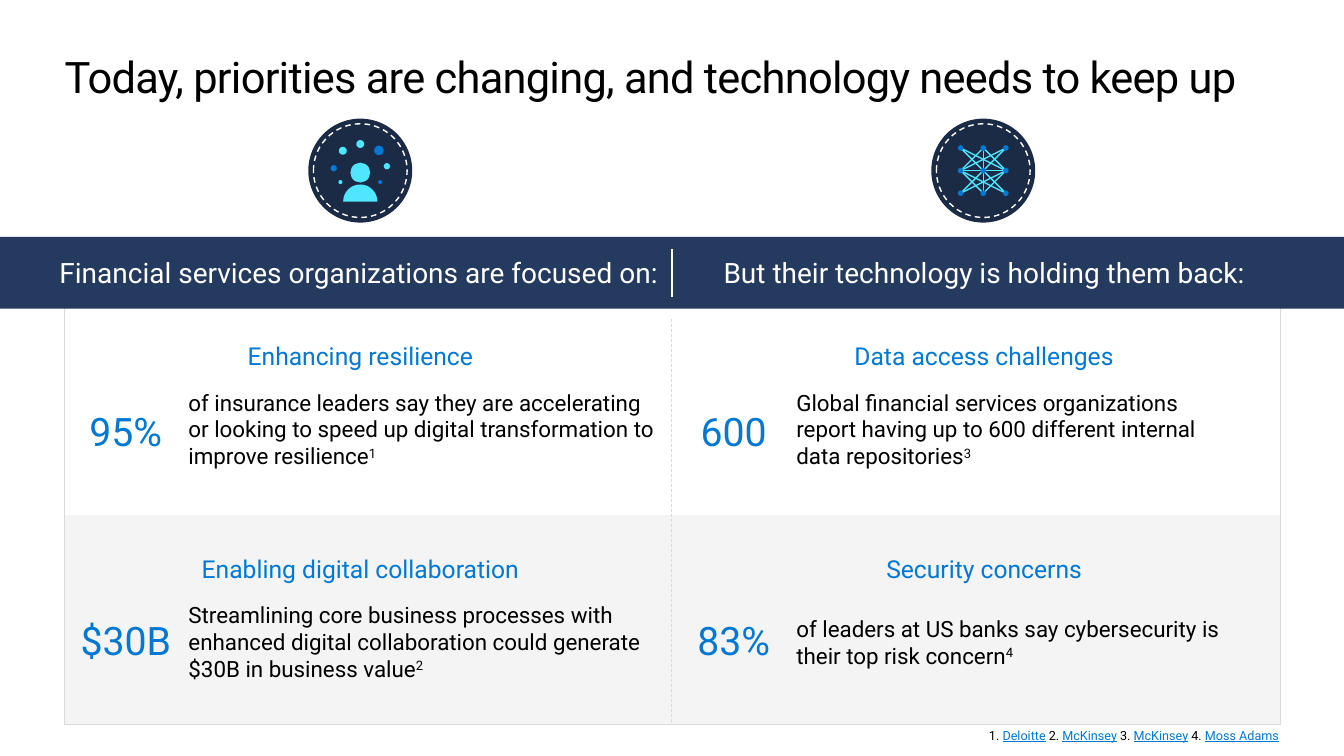
from itertools import product
from math import cos, pi, sin

from lxml.etree import SubElement
from pptx import Presentation
from pptx.dml.color import RGBColor
from pptx.enum.dml import MSO_LINE
from pptx.enum.shapes import MSO_CONNECTOR, MSO_SHAPE
from pptx.enum.text import MSO_ANCHOR, PP_ALIGN
from pptx.oxml.ns import qn
from pptx.util import Cm, Pt

BLACK, WHITE, BLUE, CYAN = "000000", "FFFFFF", "0078D4", "50E6FF"
NAVY, NIGHT, PALE, RULE = "243A5E", "1B2B46", "F2F2F2", "D9D9D9"
WIDTH, HEIGHT, MIDDLE = 33.87, 19.05, 16.93
MARGIN, INNER = 1.63, 30.63
COLUMN_LEFTS, COLUMN_WIDTH = (1.63, 17.35), 14.91
NUMBER_LEFTS, BODY_LEFTS = (2.18, 17.5), (4.75, 20.07)
NUMBER_TOPS, HEADING_TOPS = (9.86, 15.14), (8.51, 13.87)
BADGES = ((9.08, 4.3), (24.78, 4.3))

FACTS = (
    (("Enhancing resilience", "95%",
      "of insurance leaders say they are accelerating or looking to speed up "
      "digital transformation to improve resilience", "1"),
     ("Data access challenges", "600",
      "Global financial services organizations\nreport having up to 600 "
      "different internal\ndata repositories", "3")),
    (("Enabling digital collaboration", "$30B",
      "Streamlining core business processes with enhanced digital "
      "collaboration could generate $30B in business value", "2"),
     ("Security concerns", "83%",
      "of leaders at US banks say cybersecurity is their top risk concern",
      "4")),
)
SOURCES = ("Deloitte", "McKinsey", "McKinsey", "Moss Adams")
DOTS = (
    (0.47, -0.51, 0.12, BLUE), (-0.67, -0.06, 0.08, BLUE),
    (-0.44, -0.5, 0.1, CYAN), (0, -0.67, 0.1, CYAN),
    (0.67, -0.11, 0.08, CYAN), (-0.5, 0.29, 0.05, CYAN),
    (0.5, 0.29, 0.05, BLUE), (0, 0.05, 0.25, CYAN),
)


def color(value):
    """Turn a hex string into a colour."""
    return RGBColor.from_string(value)


class Painter:
    """Draw styled elements on the current slide."""

    font = "Roboto"

    def __init__(self, page):
        self.page = page
        self.shapes = page.shapes

    def paint(self, shape, fill=None, line=None, weight=0.5, dash=None):
        """Set the fill and outline of a shape."""
        shape.shadow.inherit = False
        if fill:
            shape.fill.solid()
            shape.fill.fore_color.rgb = color(fill)
        else:
            shape.fill.background()
        if line:
            shape.line.color.rgb = color(line)
            shape.line.width = Pt(weight)
            shape.line.dash_style = dash
        else:
            shape.line.fill.background()
        return shape

    def shape(self, kind, left, top, width, height, **style):
        """Add a preset shape."""
        shape = self.shapes.add_shape(kind, Cm(left), Cm(top), Cm(width), Cm(height))
        return self.paint(shape, **style)

    def disc(self, x, y, radius, **style):
        """Add a circle around a centre."""
        return self.shape(MSO_SHAPE.OVAL, x - radius, y - radius,
                          2 * radius, 2 * radius, **style)

    def outline(self, strokes, close, **style):
        """Add one freeform made of several strokes."""
        builder = None
        for points in strokes:
            start, *rest = [(Cm(x), Cm(y)) for x, y in points]
            if builder is None:
                builder = self.shapes.build_freeform(*start, scale=1.0)
            else:
                builder.move_to(*start)
            builder.add_line_segments(rest, close=close)
        return self.paint(builder.convert_to_shape(), **style)

    def divider(self, top, bottom, line, weight, dash=None):
        """Add a vertical line in the middle of the slide."""
        rule = self.shapes.add_connector(
            MSO_CONNECTOR.STRAIGHT, Cm(MIDDLE), Cm(top), Cm(MIDDLE), Cm(bottom))
        rule.line.color.rgb = color(line)
        rule.line.width = Pt(weight)
        rule.line.dash_style = dash
        SubElement(rule._element.spPr, qn("a:effectLst"))

    def letter(self, box, words, size, ink, align, anchor=MSO_ANCHOR.MIDDLE, wrap=True):
        """Put one styled paragraph into a box."""
        frame = box.text_frame
        frame.word_wrap = wrap
        frame.vertical_anchor = anchor
        frame.margin_left = frame.margin_right = 0
        frame.margin_top = frame.margin_bottom = 0
        para = frame.paragraphs[0]
        para.text = words
        para.alignment = align
        para.font.name = self.font
        para.font.size = Pt(size)
        para.font.color.rgb = color(ink)
        return para

    def text(self, left, top, width, height, words, size, ink=BLACK,
             align=PP_ALIGN.LEFT, **layout):
        """Add a text box."""
        box = self.shapes.add_textbox(Cm(left), Cm(top), Cm(width), Cm(height))
        return self.letter(box, words, size, ink, align, **layout)

    def badge(self, x, y):
        """Start a group with a round dashed badge."""
        self.shapes = self.page.shapes.add_group_shape().shapes
        self.disc(x, y, 1.31, fill=NIGHT)
        self.disc(x, y, 1.18, line=WHITE, weight=1, dash=MSO_LINE.DASH)

    def person(self, x, y):
        """Draw the person badge."""
        self.badge(x, y)
        arc = [(x - 0.43 * cos(pi * step / 24), y + 0.78 - 0.43 * sin(pi * step / 24))
               for step in range(25)]
        self.outline([arc], True, fill=CYAN)
        for across, down, radius, fill in DOTS:
            self.disc(x + across, y + down, radius, fill=fill)
        self.shapes = self.page.shapes

    def network(self, x, y):
        """Draw the network badge."""
        self.badge(x, y)
        step = 0.57
        links = [((x + step * start, y), (x + step * end, y + step * side))
                 for side, start, end in product((-1, 1), (-1, 0, 1), (-1, 0, 1))
                 if start != end or start == 0]
        links.append(((x - step, y), (x + step, y)))
        self.outline(links, False, line=CYAN, weight=1)
        for row, column in product((-1, 0, 1), repeat=2):
            self.disc(x + step * column, y + step * row, 0.07, fill=BLUE)
        self.shapes = self.page.shapes

    def fact(self, row, column):
        """Add a heading, a key figure and its explanation."""
        heading, number, body, note = FACTS[row][column]
        top = HEADING_TOPS[row]
        self.text(COLUMN_LEFTS[column], top, COLUMN_WIDTH, 0.91, heading, 17.6,
                  BLUE, PP_ALIGN.CENTER)
        circle = self.shape(MSO_SHAPE.OVAL, NUMBER_LEFTS[column], NUMBER_TOPS[row],
                            1.98, 1.98)
        self.letter(circle, number, 28, BLUE, PP_ALIGN.CENTER, wrap=False)
        para = self.text(BODY_LEFTS[column], top + 1.27, 11.79, 2.06, body, 16)
        span = para.add_run()
        span.text = note
        span.font._element.set("baseline", "30000")

    def footnote(self):
        """Add the numbered list of sources."""
        para = self.text(14.2, 18.34, 18.03, 0.43, "", 9, align=PP_ALIGN.RIGHT,
                         anchor=MSO_ANCHOR.TOP)
        for index, source in enumerate(SOURCES, 1):
            para.add_run().text = f"{index}. " if index == 1 else f" {index}. "
            span = para.add_run()
            span.text = source
            span.font.underline = True
            span.font.color.rgb = color(BLUE)


def main():
    """Build and save the slide."""
    deck = Presentation()
    deck.slide_width, deck.slide_height = Cm(WIDTH), Cm(HEIGHT)
    painter = Painter(deck.slides.add_slide(deck.slide_layouts[6]))

    band = painter.shape(MSO_SHAPE.RECTANGLE, MARGIN, 12.98, INNER, 5.28, fill=PALE)
    tint = band._element.spPr.find(qn("a:solidFill"))[0]
    SubElement(tint, qn("a:alpha"), val="80000")
    painter.shape(MSO_SHAPE.RECTANGLE, MARGIN, 6.93, INNER, 11.33, line=RULE)
    title = painter.text(MARGIN, 1.27, 30.96, 2.64,
                         "Today, priorities are changing, and technology needs to keep up",
                         31, anchor=MSO_ANCHOR.TOP)
    title.runs[0].font._element.set("spc", "-50")
    painter.footnote()

    painter.shape(MSO_SHAPE.RECTANGLE, 0, 5.97, WIDTH, 1.81, fill=NAVY)
    painter.text(1.4, 6.3, 15.29, 1.14, "Financial services organizations are focused on:",
                 20, WHITE, PP_ALIGN.CENTER)
    painter.text(COLUMN_LEFTS[1], 6.3, COLUMN_WIDTH, 1.14,
                 "But their technology is holding them back:", 20, WHITE, PP_ALIGN.CENTER)
    painter.divider(6.28, 7.49, WHITE, 1.25)
    painter.divider(8.03, 18.26, RULE, 0.5, MSO_LINE.DASH)

    painter.person(*BADGES[0])
    painter.network(*BADGES[1])
    for row, column in product(range(2), repeat=2):
        painter.fact(row, column)
    deck.save("out.pptx")


if __name__ == "__main__":
    main()
